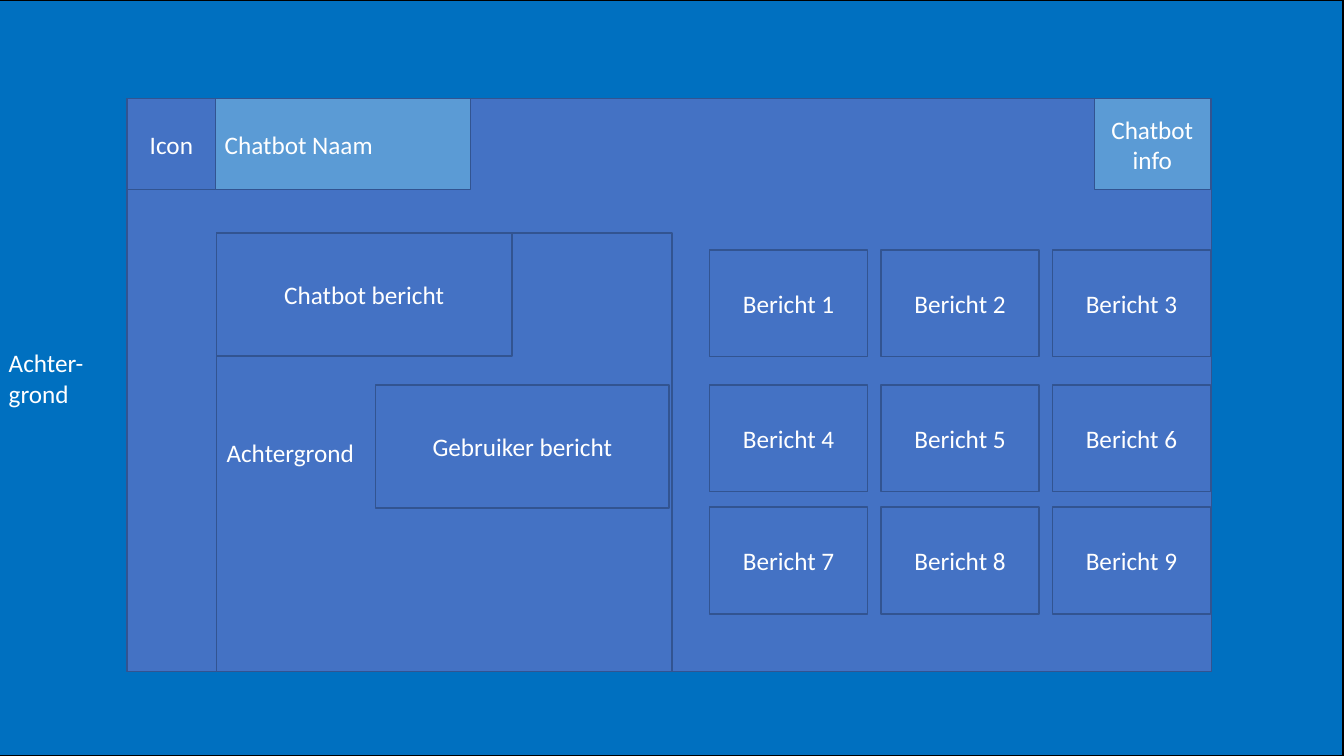
from pptx import Presentation
from pptx.dml.color import RGBColor
from pptx.enum.shapes import MSO_SHAPE
from pptx.enum.text import MSO_ANCHOR, PP_ALIGN
from pptx.util import Cm, Pt

RECTANGLE = MSO_SHAPE.RECTANGLE
MIDDLE = MSO_ANCHOR.MIDDLE
LEFT = PP_ALIGN.LEFT
CENTER = PP_ALIGN.CENTER

FONT = "Calibri"
BACKDROP = "0070C0"
PANEL = "4472C4"
HEADER = "5B9BD5"
OUTLINE = "325491"
BLACK = "000000"
WHITE = "FFFFFF"

PANEL_LEFT, PANEL_TOP = 3.2, 2.49
HEADER_HEIGHT = 2.29
CHAT_LEFT, CHAT_TOP = 5.46, 5.87
BUBBLE_HEIGHT = 3.1
BUTTON_LEFT, BUTTON_STEP = 17.88, 4.32
BUTTON_ROWS = (6.3, 9.7, 12.78)
BUTTON_WIDTH, BUTTON_HEIGHT = 3.99, 2.69


def color(value):
    """Return the colour for a hex string."""
    return RGBColor.from_string(value)


def add_box(slide, text, left, top, width, height,
            fill=PANEL, outline=OUTLINE, alignment=CENTER):
    """Add an outlined rectangle, measured in centimetres, with its label."""
    shape = slide.shapes.add_shape(RECTANGLE, Cm(left), Cm(top), Cm(width), Cm(height))
    shape.shadow.inherit = False
    shape.fill.solid()
    shape.fill.fore_color.rgb = color(fill)
    shape.line.color.rgb = color(outline)
    shape.line.width = Pt(1)
    text_frame = shape.text_frame
    text_frame.text = text
    text_frame.word_wrap = True
    text_frame.vertical_anchor = MIDDLE
    for paragraph in text_frame.paragraphs:
        paragraph.alignment = alignment
        for run in paragraph.runs:
            run.font.name = FONT
            run.font.size = Pt(18)
            run.font.color.rgb = color(WHITE)


def add_header(slide):
    """Add the name, information and icon boxes of the chatbot."""
    add_box(slide, "Chatbot Naam", PANEL_LEFT, PANEL_TOP, 8.66, HEADER_HEIGHT, HEADER)
    add_box(slide, "Chatbot info", 27.58, PANEL_TOP, 2.92, HEADER_HEIGHT, HEADER)
    add_box(slide, "Icon", PANEL_LEFT, PANEL_TOP, 2.24, HEADER_HEIGHT)


def add_conversation(slide):
    """Add the chat area with its two messages."""
    add_box(slide, "Achtergrond", CHAT_LEFT, CHAT_TOP, 11.48, 11.05, alignment=LEFT)
    add_box(slide, "Chatbot bericht", CHAT_LEFT, CHAT_TOP, 7.44, BUBBLE_HEIGHT)
    add_box(slide, "Gebruiker bericht", 9.47, BUTTON_ROWS[1], 7.39, BUBBLE_HEIGHT)


def add_message_buttons(slide):
    """Add the numbered grid of message buttons."""
    for row, top in enumerate(BUTTON_ROWS):
        for column in range(3):
            add_box(slide, f"Bericht {row * 3 + column + 1}",
                    BUTTON_LEFT + column * BUTTON_STEP, top,
                    BUTTON_WIDTH, BUTTON_HEIGHT)


def main():
    """Build the chatbot wireframe and save it."""
    presentation = Presentation()
    presentation.slide_width = Cm(33.87)
    presentation.slide_height = Cm(19.05)
    slide = presentation.slides.add_slide(presentation.slide_layouts[6])
    add_box(slide, "Achter-\ngrond", -0.03, 0, 33.88, 19.05, BACKDROP, BLACK, LEFT)
    add_box(slide, "", PANEL_LEFT, PANEL_TOP, 27.33, 14.43)
    add_header(slide)
    add_conversation(slide)
    add_message_buttons(slide)
    presentation.save("out.pptx")


if __name__ == "__main__":
    main()
